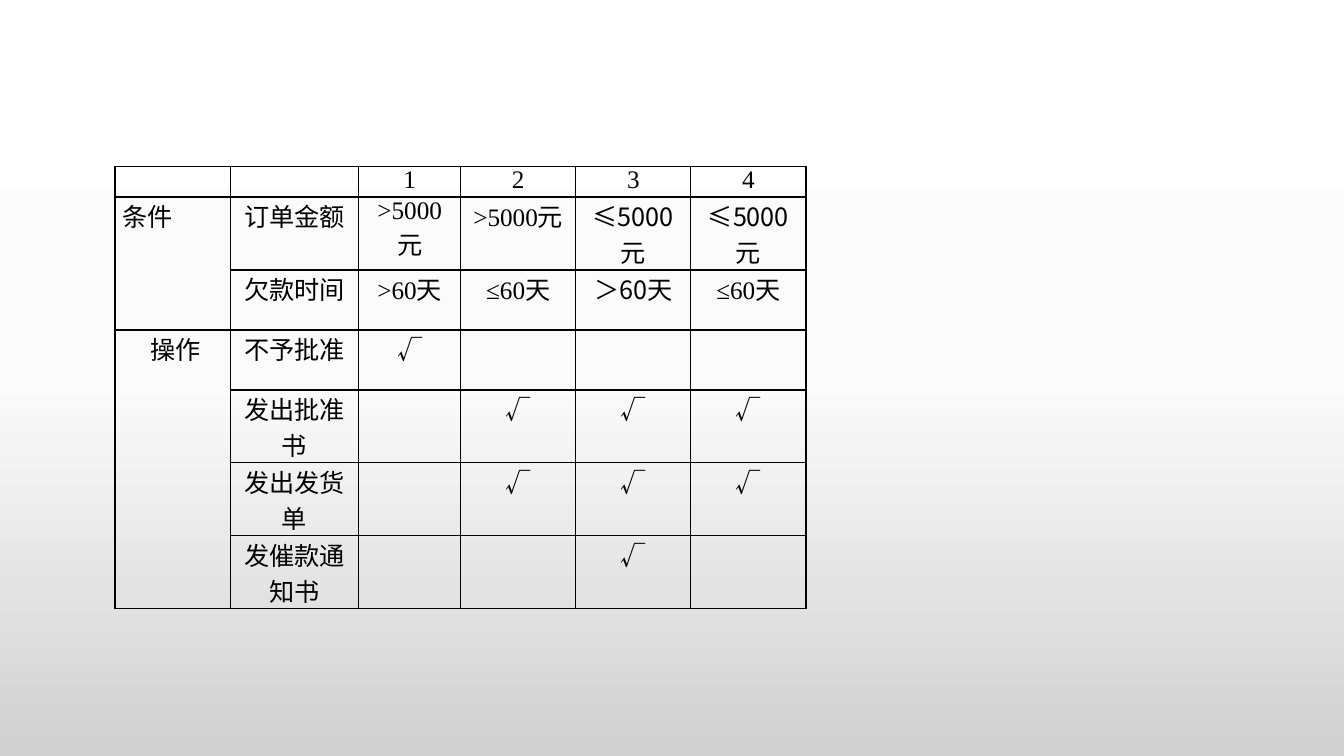
from lxml import etree
from pptx import Presentation
from pptx.dml.color import RGBColor
from pptx.enum.text import PP_ALIGN
from pptx.oxml import parse_xml
from pptx.oxml.ns import nsdecls, qn
from pptx.util import Cm, Pt

LEFT = PP_ALIGN.LEFT
CENTER = PP_ALIGN.CENTER
SERIF = "Times New Roman"
SANS = "Noto Sans CJK SC"
COLORS = {
    "text": "000000",
    "border": "080000",
    "top": "FFFFFF",
    "middle": "FBFBFB",
    "bottom": "D1D1D1",
}
BLANK_LAYOUT = 6
BORDER_WIDTH = Pt(1)
COLUMN_WIDTHS = [2.9, 3.24, 2.57, 2.9, 2.9, 2.9]
HEADER_HEIGHT = 0.76
ROW_HEIGHT = 1.51
DECISIONS = [
    ["", "", "1", "2", "3", "4"],
    ["条件", "订单金额", ">5000元", ">5000元", "≤5000元", "≤5000元"],
    ["", "欠款时间", ">60天", "≤60天", "＞60天", "≤60天"],
    [" 操作", "不予批准", "√", "", "", ""],
    ["", "发出批准书", "", "√", "√", "√"],
    ["", "发出发货单", "", "√", "√", "√"],
    ["", "发催款通知书", "", "", "√", ""],
]
SANS_TEXTS = {"≤5000元", "＞60天", "√"}
GROUPS = [(1, 2), (3, 6)]


def write_text(text_frame, text, font=SERIF, size=18, color="text", align=CENTER):
    paragraph = text_frame.paragraphs[0]
    paragraph.alignment = align
    run = paragraph.add_run()
    run.text = text
    run.font.size = Pt(size)
    run.font.name = font
    run.font.color.rgb = RGBColor.from_string(COLORS[color])
    east_asian = etree.SubElement(run.font._element, qn("a:ea"))
    east_asian.set("typeface", SANS)


def add_borders(cell):
    properties = cell._tc.get_or_add_tcPr()
    for index, side in enumerate(("lnL", "lnR", "lnT", "lnB")):
        border = parse_xml(
            f'<a:{side} {nsdecls("a")} w="{BORDER_WIDTH}"><a:solidFill>'
            f'<a:srgbClr val="{COLORS["border"]}"/></a:solidFill></a:{side}>'
        )
        properties.insert(index, border)


def paint_background(slide):
    stops = "".join(
        f'<a:gs pos="{position * 1000}"><a:srgbClr val="{COLORS[name]}"/></a:gs>'
        for position, name in ((0, "top"), (50, "middle"), (100, "bottom"))
    )
    background = parse_xml(
        f'<p:bg {nsdecls("p", "a")}><p:bgPr><a:gradFill><a:gsLst>{stops}</a:gsLst>'
        '<a:lin ang="5400000" scaled="0"/></a:gradFill><a:effectLst/></p:bgPr></p:bg>'
    )
    slide._element.cSld.insert(0, background)


def add_decision_table(slide, left, top):
    width = sum(COLUMN_WIDTHS)
    height = HEADER_HEIGHT + ROW_HEIGHT * (len(DECISIONS) - 1)
    table = slide.shapes.add_table(
        len(DECISIONS), len(COLUMN_WIDTHS), Cm(left), Cm(top), Cm(width), Cm(height)
    ).table
    table.first_row = False
    table.horz_banding = False
    for column, column_width in zip(table.columns, COLUMN_WIDTHS):
        column.width = Cm(column_width)
    for row_index, texts in enumerate(DECISIONS):
        table.rows[row_index].height = Cm(ROW_HEIGHT if row_index else HEADER_HEIGHT)
        for column_index, text in enumerate(texts):
            cell = table.cell(row_index, column_index)
            cell.margin_left = cell.margin_right = Cm(0.18)
            cell.margin_top = cell.margin_bottom = 0
            add_borders(cell)
            cell.fill.background()
            if text:
                write_text(
                    cell.text_frame,
                    text,
                    font=SANS if text in SANS_TEXTS else SERIF,
                    align=LEFT if text == "条件" else CENTER,
                )
    for first, last in GROUPS:
        table.cell(first, 0).merge(table.cell(last, 0))


def main():
    presentation = Presentation()
    presentation.slide_width = Cm(33.87)
    presentation.slide_height = Cm(19.05)
    slide = presentation.slides.add_slide(presentation.slide_layouts[BLANK_LAYOUT])
    paint_background(slide)
    add_decision_table(slide, left=2.9, top=4.19)
    presentation.save("out.pptx")


if __name__ == "__main__":
    main()
